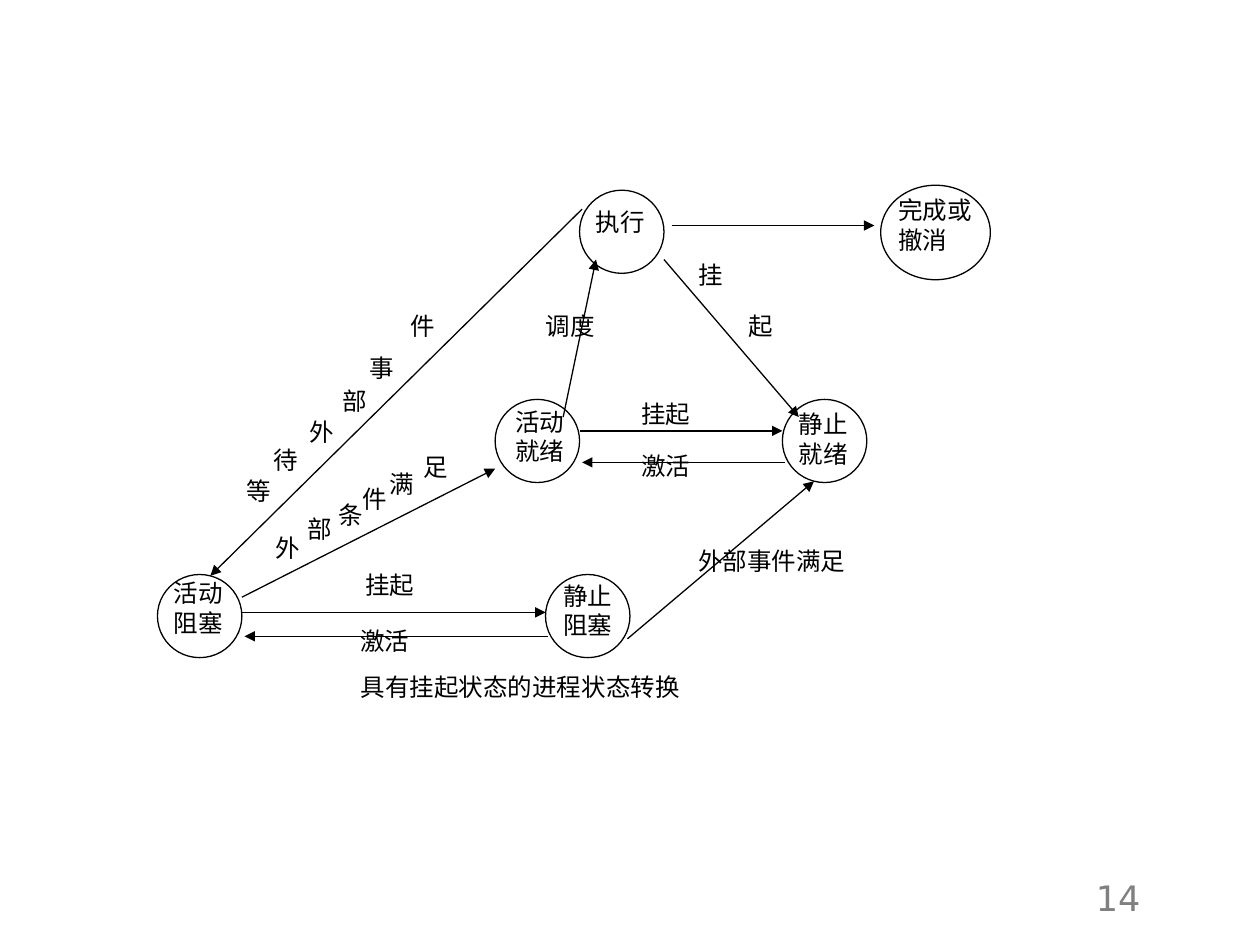
from lxml.etree import SubElement
from pptx import Presentation
from pptx.dml.color import RGBColor
from pptx.enum.shapes import MSO_CONNECTOR, MSO_SHAPE
from pptx.enum.text import PP_ALIGN
from pptx.oxml.ns import qn
from pptx.util import Inches, Pt

BLACK = RGBColor(0, 0, 0)
WHITE = RGBColor(255, 255, 255)
GREY = RGBColor(128, 128, 128)
STATE_SIZE = (0.67, 0.66)
LABEL_WIDTH, LINE_HEIGHT = 1.74, 0.42

STATES = [
    ("完成或\n撤消", (6.99, 1.47), (0.87, 0.75), (0.14, 0.08)),
    ("执行", (4.6, 1.51), STATE_SIZE, (0.13, 0.13)),
    ("活动\n就绪", (3.93, 3.17), STATE_SIZE, (0.16, 0.06)),
    ("静止\n就绪", (6.21, 3.17), STATE_SIZE, (0.13, 0.08)),
    ("活动\n阻塞", (1.25, 4.56), STATE_SIZE, (0.13, 0.03)),
    ("静止\n阻塞", (4.33, 4.56), STATE_SIZE, (0.14, 0.05)),
]

TRANSITIONS = [
    ((4.62, 1.66), (1.67, 4.57)),
    ((1.92, 4.74), (3.93, 3.72)),
    ((4.47, 3.31), (4.73, 2.06)),
    ((4.6, 3.42), (6.21, 3.42)),
    ((6.23, 3.67), (4.62, 3.67)),
    ((5.27, 2.06), (6.34, 3.31)),
    ((1.92, 4.86), (4.33, 4.86)),
    ((4.35, 5.05), (1.94, 5.05)),
    ((4.98, 5.07), (6.46, 3.82)),
    ((5.33, 1.79), (6.94, 1.79)),
]

LABELS = [
    ("外部事件满足", 5.54, 4.33),
    ("挂起", 5.09, 3.17),
    ("激活", 5.09, 3.58),
    ("挂起", 2.9, 4.52),
    ("激活", 2.86, 4.97),
    ("调度", 4.33, 2.47),
]

SLANTED_LABELS = [
    ("等待外部事件", LABEL_WIDTH / 3,
     [(1.96, 3.78), (2.17, 3.53), (2.46, 3.31), (2.72, 3.06), (2.93, 2.8), (3.26, 2.47)]),
    ("外部条件满足", LABEL_WIDTH / 4,
     [(2.19, 4.23), (2.44, 4.08), (2.69, 3.97), (2.88, 3.84), (3.09, 3.72), (3.36, 3.59)]),
    ("挂起", LABEL_WIDTH, [(5.54, 2.06), (5.94, 2.47)]),
]

CAPTION = "具有挂起状态的进程状态转换"
PAGE_NUMBER = "14"


def add_text(slide, text, left, top, width=LABEL_WIDTH, align=PP_ALIGN.JUSTIFY,
             size=14, font="Times New Roman", color=BLACK, insets=(0, 0)):
    height = LINE_HEIGHT * len(text.split("\n"))
    box = slide.shapes.add_textbox(*map(Inches, (left, top, width, height)))
    frame = box.text_frame
    frame.word_wrap = True
    frame.margin_left = frame.margin_right = Inches(insets[0])
    frame.margin_top = frame.margin_bottom = Inches(insets[1])
    frame.text = text
    for paragraph in frame.paragraphs:
        paragraph.alignment = align
        for run in paragraph.runs:
            run.font.size = Pt(size)
            run.font.name = font
            run.font.color.rgb = color


def add_state(slide, position, size):
    circle = slide.shapes.add_shape(MSO_SHAPE.OVAL, *map(Inches, position + size))
    circle.shadow.inherit = False
    circle.fill.solid()
    circle.fill.fore_color.rgb = WHITE
    circle.line.color.rgb = BLACK
    circle.line.width = Pt(0.75)


def add_transition(slide, start, end):
    arrow = slide.shapes.add_connector(MSO_CONNECTOR.STRAIGHT, *map(Inches, start + end))
    arrow.line.color.rgb = BLACK
    arrow.line.width = Pt(0.75)
    SubElement(arrow.line._get_or_add_ln(), qn("a:tailEnd"), type="triangle")
    SubElement(arrow._element.spPr, qn("a:effectLst"))


def main():
    presentation = Presentation()
    presentation.slide_width = Inches(10)
    presentation.slide_height = Inches(7.5)
    slide = presentation.slides.add_slide(presentation.slide_layouts[6])

    for name, position, size, offset in STATES:
        add_state(slide, position, size)
        add_text(slide, name, position[0] + offset[0], position[1] + offset[1])
    for start, end in TRANSITIONS:
        add_transition(slide, start, end)
    for label, left, top in LABELS:
        add_text(slide, label, left, top)
    for label, width, places in SLANTED_LABELS:
        for character, (left, top) in zip(label, places):
            add_text(slide, character, left, top, width)

    add_text(slide, CAPTION, 1.65, 5.33, 4.96, PP_ALIGN.CENTER)
    add_text(slide, PAGE_NUMBER, 8.6, 6.91, 1.4, PP_ALIGN.LEFT,
             20, "DejaVu Sans", GREY, (0.1, 0.05))
    presentation.save("out.pptx")


if __name__ == "__main__":
    main()
